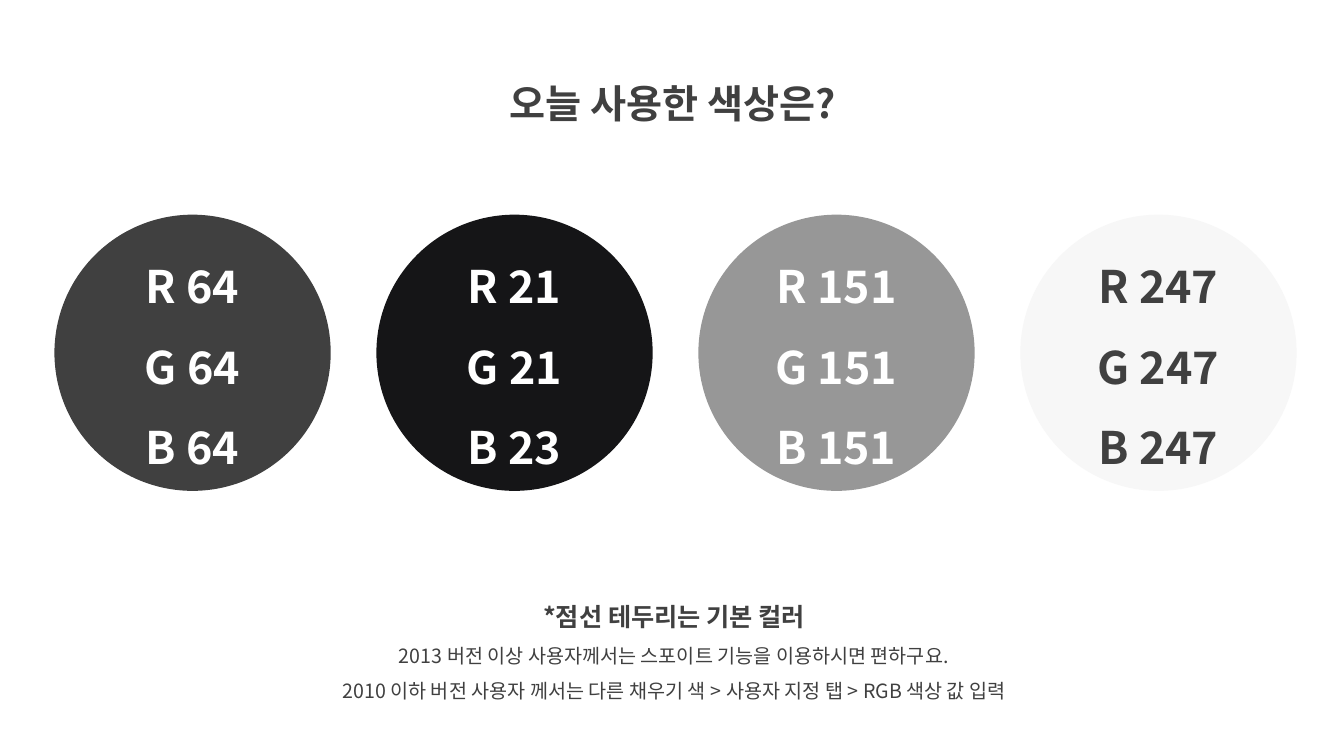
from lxml import etree
from pptx import Presentation
from pptx.dml.color import RGBColor
from pptx.enum.shapes import MSO_SHAPE
from pptx.enum.text import MSO_ANCHOR, MSO_AUTO_SIZE, PP_ALIGN
from pptx.oxml.ns import qn
from pptx.util import Inches, Pt

OVAL = MSO_SHAPE.OVAL
MIDDLE = MSO_ANCHOR.MIDDLE
GROW = MSO_AUTO_SIZE.SHAPE_TO_FIT_TEXT
CENTER = PP_ALIGN.CENTER
FONT = "Noto Sans CJK KR"
COLORS = {"dark": "404040", "black": "151517", "gray": "979797",
          "light": "F7F7F7", "white": "FFFFFF"}
TITLE = {"size": Pt(28), "bold": True}
HEADING = {"size": Pt(18), "bold": True}
BODY = {"size": Pt(14), "bold": False}
VALUE = {"size": Pt(32), "bold": True}
SWATCHES = [
    ("dark", "white", (64, 64, 64)),
    ("black", "white", (21, 21, 23)),
    ("gray", "white", (151, 151, 151)),
    ("light", "dark", (247, 247, 247)),
]
NOTES = [
    ("*점선 테두리는 기본 컬러", HEADING),
    ("2013 버전 이상 사용자께서는 스포이트 기능을 이용하시면 편하구요.", BODY),
    ("2010 이하 버전 사용자 께서는 다른 채우기 색 > 사용자 지정 탭 > RGB 색상 값 입력", BODY),
]


def write_lines(tf, lines, color):
    """Fill a text frame with centred (text, format) lines."""
    tf.word_wrap = True
    for i, (text, fmt) in enumerate(lines):
        p = tf.add_paragraph() if i else tf.paragraphs[0]
        p.alignment = CENTER
        p.line_spacing = 1.5
        r = p.add_run()
        r.text = text
        for name, value in {**fmt, "name": FONT}.items():
            setattr(r.font, name, value)
        r.font.color.rgb = RGBColor.from_string(COLORS[color])
        etree.SubElement(r.font._element, qn("a:ea"), typeface=FONT)


def add_text(s, box, lines):
    """Place a text box that grows with its lines."""
    tf = s.shapes.add_textbox(*map(Inches, box)).text_frame
    write_lines(tf, lines, "dark")
    tf.auto_size = GROW


def add_swatches(s, left, top, width, diameter):
    """Spread the colour circles evenly across the given width."""
    pitch = (width - diameter) / (len(SWATCHES) - 1)
    for i, (fill, ink, rgb) in enumerate(SWATCHES):
        sp = s.shapes.add_shape(OVAL, Inches(left + i * pitch), Inches(top),
                                Inches(diameter), Inches(diameter))
        sp.shadow.inherit = False
        sp.fill.solid()
        sp.fill.fore_color.rgb = RGBColor.from_string(COLORS[fill])
        sp.line.fill.background()
        sp.text_frame.vertical_anchor = MIDDLE
        lines = [(f"{channel} {value}", VALUE) for channel, value in zip("RGB", rgb)]
        write_lines(sp.text_frame, lines, ink)


def main():
    """Build the colour palette slide."""
    prs = Presentation()
    prs.slide_width, prs.slide_height = Inches(13.33), Inches(7.5)
    s = prs.slides.add_slide(prs.slide_layouts[6])
    add_text(s, (4.36, 0.5, 4.63, 0.72), [("오늘 사용한 색상은?", TITLE)])
    add_text(s, (2.69, 5.77, 7.99, 1.26), NOTES)
    add_swatches(s, 0.54, 2.13, 12.32, 2.74)
    prs.save("out.pptx")


if __name__ == "__main__":
    main()
